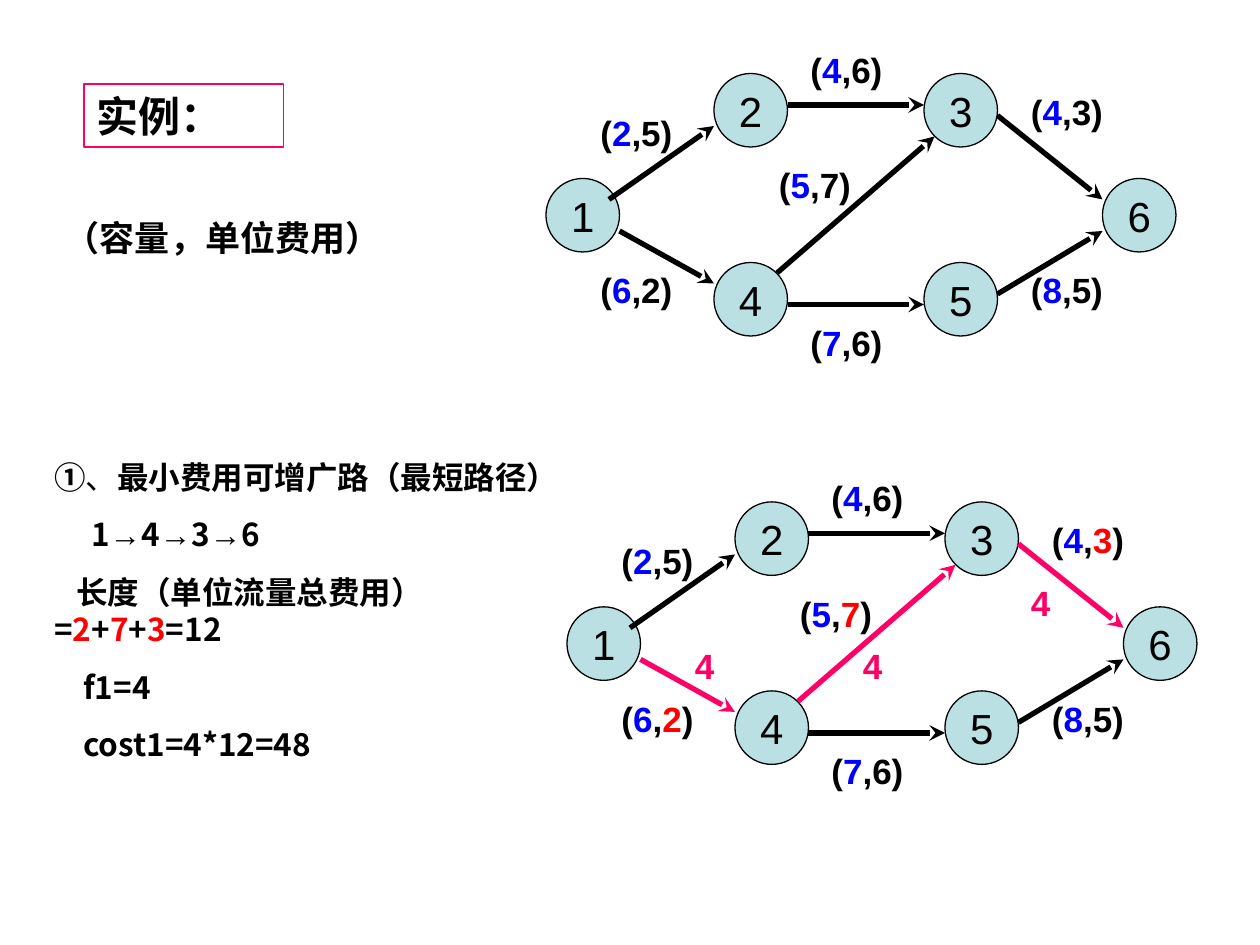
from lxml.etree import SubElement
from pptx import Presentation
from pptx.dml.color import RGBColor
from pptx.enum.shapes import MSO_CONNECTOR, MSO_SHAPE
from pptx.enum.text import MSO_ANCHOR, MSO_AUTO_SIZE, PP_ALIGN
from pptx.oxml.ns import qn
from pptx.util import Pt

BLACK = RGBColor(0x00, 0x00, 0x00)
BLUE = RGBColor(0x00, 0x00, 0xFF)
RED = RGBColor(0xFF, 0x00, 0x00)
PINK = RGBColor(0xFF, 0x00, 0x66)
PALE_TEAL = RGBColor(0xBB, 0xE0, 0xE3)

LATIN = "Arial"
CJK = "Noto Sans CJK SC"
NODE_SIZE = 42
LINE_BREAK = "\v"

NODES = {
    "1": (312, 102),
    "2": (408, 42),
    "4": (408, 150),
    "3": (528, 42),
    "5": (528, 150),
    "6": (630, 102),
}
EDGES = {
    "4-3": ((444, 156), (534, 78), (438, 90), "5", "7"),
    "1-2": ((348, 114), (408, 72), (336, 60), "2", "5"),
    "1-4": ((354, 132), (408, 162), (336, 150), "6", "2"),
    "2-3": ((450, 60), (528, 60), (456, 24), "4", "6"),
    "4-5": ((450, 174), (528, 174), (456, 180), "7", "6"),
    "3-6": ((570, 66), (630, 114), (582, 48), "4", "3"),
    "5-6": ((570, 168), (630, 132), (582, 150), "8", "5"),
}
PATH_FLOWS = {"1-4": (378, 120), "4-3": (474, 120), "3-6": (570, 84)}

SOLUTION = [
    (0, [("①", {}), ("、", {"bold": False}), ("最小费用可增广路（最短路径）", {})]),
    (21, [("1", {}), ("→", {"name": LATIN}), ("4", {}), ("→", {"name": LATIN}),
          ("3", {}), ("→", {"name": LATIN}), ("6", {})]),
    (12.6, [("长度（单位流量总费用）", {}), (LINE_BREAK, {}), ("=", {}),
            ("2", {"color": RED}), ("+", {}), ("7", {"color": RED}), ("+", {}),
            ("3", {"color": RED}), ("=12", {})]),
    (16.5, [("f1=4", {})]),
    (16.5, [("cost1=4*12=48", {})]),
]


def set_attributes(target, formats):
    for attribute, value in formats.items():
        setattr(target, attribute, value)


def write_runs(paragraph, pieces, size, **defaults):
    for text, changes in pieces:
        if text == LINE_BREAK:
            paragraph.add_line_break()
            continue
        formats = {"name": LATIN, "size": Pt(size), "bold": True, "color": BLACK}
        formats.update(defaults)
        formats.update(changes)
        color = formats.pop("color")
        run = paragraph.add_run()
        run.text = text
        set_attributes(run.font, formats)
        run.font.color.rgb = color
        SubElement(run.font._element, qn("a:ea"), typeface=CJK)


def add_text(slide, left, top, width, height):
    frame = slide.shapes.add_textbox(Pt(left), Pt(top), Pt(width), Pt(height)).text_frame
    frame.word_wrap = True
    return frame


def add_label(slide, left, top, width, pieces):
    frame = add_text(slide, left, top, width, 31.5)
    write_runs(frame.paragraphs[0], pieces, 20)


def add_node(slide, name, left, top):
    node = slide.shapes.add_shape(
        MSO_SHAPE.OVAL, Pt(left), Pt(top), Pt(NODE_SIZE), Pt(NODE_SIZE))
    node.shadow.inherit = False
    node.fill.solid()
    node.fill.fore_color.rgb = PALE_TEAL
    node.line.color.rgb = BLACK
    node.line.width = Pt(0.75)
    frame = node.text_frame
    set_attributes(frame, {"word_wrap": False, "vertical_anchor": MSO_ANCHOR.MIDDLE})
    frame.paragraphs[0].alignment = PP_ALIGN.CENTER
    write_runs(frame.paragraphs[0], [(name, {})], 24, bold=False)


def add_arrow(slide, start, end, color):
    arrow = slide.shapes.add_connector(
        MSO_CONNECTOR.STRAIGHT, *(Pt(value) for value in (*start, *end)))
    arrow.line.color.rgb = color
    arrow.line.width = Pt(3)
    SubElement(arrow.line._get_or_add_ln(), qn("a:tailEnd"), type="stealth")
    SubElement(arrow._element.spPr, qn("a:effectLst"))


def add_network(slide, shift_x, shift_y, flows):
    def shifted(point):
        return point[0] + shift_x, point[1] + shift_y

    for name, corner in NODES.items():
        add_node(slide, name, *shifted(corner))
    for edge, (start, end, _, _, _) in EDGES.items():
        add_arrow(slide, shifted(start), shifted(end), PINK if edge in flows else BLACK)
    for edge, (_, _, corner, capacity, cost) in EDGES.items():
        cost_color = RED if edge in flows else BLACK
        pieces = [("(", {}), (capacity, {"color": BLUE}), (",", {}),
                  (cost, {"color": cost_color}), (")", {})]
        add_label(slide, *shifted(corner), 60, pieces)
    for corner in flows.values():
        add_label(slide, *shifted(corner), 24, [("4", {"color": PINK})])


def add_title(slide):
    title = slide.shapes.title
    set_attributes(title, {"left": Pt(48), "top": Pt(48), "width": Pt(114), "height": Pt(36)})
    title.line.color.rgb = PINK
    title.line.width = Pt(0.75)
    set_attributes(title.text_frame, {
        "word_wrap": True,
        "auto_size": MSO_AUTO_SIZE.NONE,
        "vertical_anchor": MSO_ANCHOR.TOP,
    })
    paragraph = title.text_frame.paragraphs[0]
    paragraph.alignment = PP_ALIGN.LEFT
    write_runs(paragraph, [("实例：", {})], 24)


def add_solution(slide):
    frame = add_text(slide, 24, 258, 324, 182)
    for index, (indent, pieces) in enumerate(SOLUTION):
        paragraph = frame.add_paragraph() if index else frame.paragraphs[0]
        if index:
            paragraph.space_before = Pt(11.2)
        paragraph._p.get_or_add_pPr().set("indent", str(Pt(indent)))
        write_runs(paragraph, pieces, 18, name=CJK)


def main():
    presentation = Presentation()
    set_attributes(presentation, {"slide_width": Pt(720), "slide_height": Pt(540)})
    slide = presentation.slides.add_slide(presentation.slide_layouts[5])
    add_title(slide)
    add_label(slide, 30, 120, 198, [("（容量，单位费用）", {})])
    add_network(slide, 0, 0, {})
    add_solution(slide)
    add_network(slide, 12, 244.8, PATH_FLOWS)
    presentation.save("out.pptx")


if __name__ == "__main__":
    main()
